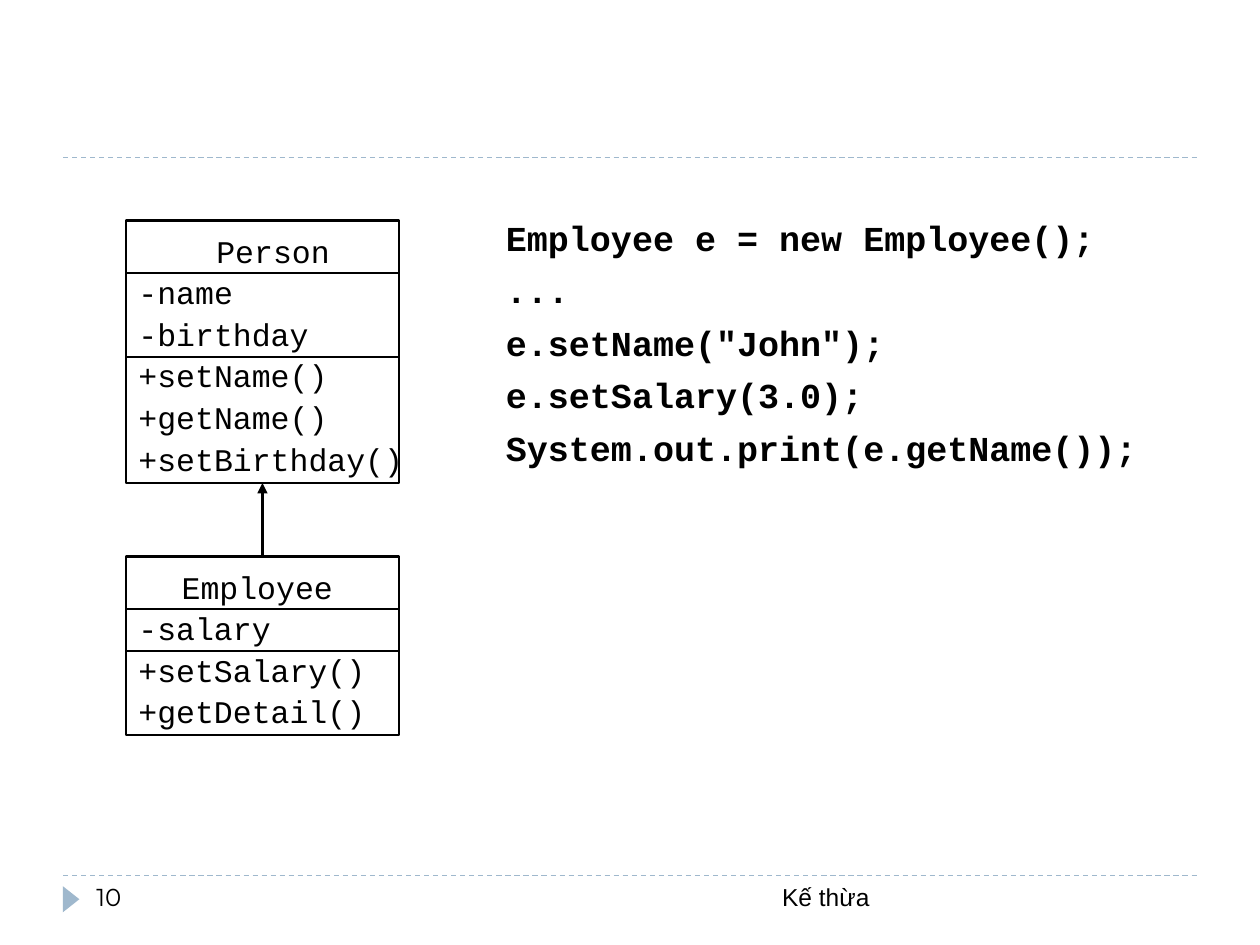
import pptx
import pptx.util
import pptx.dml.color
import pptx.enum.dml
import pptx.enum.shapes
import pptx.enum.text
import pptx.oxml.ns
import lxml.etree

Pt = pptx.util.Pt
ALIGN = pptx.enum.text.PP_ALIGN
SHAPE = pptx.enum.shapes.MSO_SHAPE
COLORS = {"ink": "000000", "accent": "9FB8CD"}
CODE = {"name": "Courier New", "size": Pt(20), "bold": True}
MEMBER = {"name": "Courier New", "size": Pt(18)}
HEADER_H, ROW_H = 30, 24


def rgb(key):
    return pptx.dml.color.RGBColor.from_string(COLORS[key])


def add_sub(parent, tag, **attrs):
    return lxml.etree.SubElement(parent, pptx.oxml.ns.qn(tag), attrs)


def add_text(s, box, lines, font, para):
    tf = s.shapes.add_textbox(*map(Pt, box)).text_frame
    tf.word_wrap = True
    for i, line in enumerate(lines):
        p = tf.paragraphs[0] if i == 0 else tf.add_paragraph()
        for key, value in para.items():
            setattr(p, key, value)
        r = p.add_run()
        r.text = line
        for key, value in font.items():
            setattr(r.font, key, value)
        r.font.color.rgb = rgb("ink")
    return tf


def add_line(s, ends, color="ink", width=1.5):
    sp = s.shapes.add_connector(pptx.enum.shapes.MSO_CONNECTOR.STRAIGHT, *map(Pt, ends))
    sp.line.color.rgb = rgb(color)
    sp.line.width = Pt(width)
    add_sub(sp._element.spPr, "a:effectLst")
    return sp


def add_rule(s, box):
    x, y, w = box
    sp = add_line(s, (x, y, x + w, y), "accent", 0.75)
    sp.line.dash_style = pptx.enum.dml.MSO_LINE.DASH


def add_class(s, box, title, fields, methods, text_w):
    x, y, w = box
    h = HEADER_H + ROW_H * len(fields + methods)
    sp = s.shapes.add_shape(SHAPE.RECTANGLE, *map(Pt, (x, y, w, h)))
    sp.shadow.inherit = False
    sp.fill.background()
    sp.line.color.rgb = rgb("ink")
    sp.line.width = Pt(1.5)
    for offset in (HEADER_H, HEADER_H + ROW_H * len(fields)):
        add_line(s, (x, y + offset, x + w, y + offset))
    tf = add_text(s, (x, y + 0.75, text_w, h), [title] + fields + methods,
                  MEMBER, {"line_spacing": 1.1})
    tf.paragraphs[0].alignment = ALIGN.CENTER
    return sp


def add_inheritance(s, child, parent):
    sp = add_line(s, (0, 0, 0, 0))
    sp.begin_connect(child, 0)
    sp.end_connect(parent, 2)
    add_sub(sp.line._get_or_add_ln(), "a:tailEnd", type="triangle")


def add_code(s, box, lines):
    tf = add_text(s, box, lines, CODE, {"space_before": Pt(6)})
    for p in tf.paragraphs:
        pPr = p._p.get_or_add_pPr()
        pPr.set("marL", str(Pt(21.6)))
        pPr.set("indent", str(Pt(-21.6)))


def add_footer(s, box, number, label):
    x, y, w, h = box
    add_rule(s, (x, y, w))
    sp = s.shapes.add_shape(SHAPE.ISOSCELES_TRIANGLE, *map(Pt, (x - 2.9, y + 8.7, 15, 9.5)))
    sp.rotation = 90
    sp.shadow.inherit = False
    sp.fill.solid()
    sp.fill.fore_color.rgb = rgb("accent")
    sp.line.fill.background()
    add_text(s, (x + 192, y, 276, h), [label],
             {"name": "Arial", "size": Pt(14)}, {"alignment": ALIGN.RIGHT})
    add_text(s, (x + 12, y, 156, h), [number],
             {"name": "Montserrat", "size": Pt(14)}, {"alignment": ALIGN.LEFT})


def main():
    prs = pptx.Presentation()
    prs.slide_width, prs.slide_height = Pt(720), Pt(540)
    s = prs.slides.add_slide(prs.slide_layouts[6])
    add_rule(s, (36, 90, 648))
    add_footer(s, (36, 500.4, 648, 28.8), "10", "Kế thừa")
    add_code(s, (282, 120, 378, 174), [
        "Employee e = new Employee();",
        "...",
        'e.setName("John");',
        "e.setSalary(3.0);",
        "System.out.print(e.getName());",
    ])
    person = add_class(s, (72, 126, 156), "Person", ["-name", "-birthday"],
                       ["+setName()", "+getName()", "+setBirthday()"], 168)
    employee = add_class(s, (72, 318, 156), "Employee", ["-salary"],
                         ["+setSalary()", "+getDetail()"], 150)
    add_inheritance(s, employee, person)
    prs.save("out.pptx")


if __name__ == "__main__":
    main()
